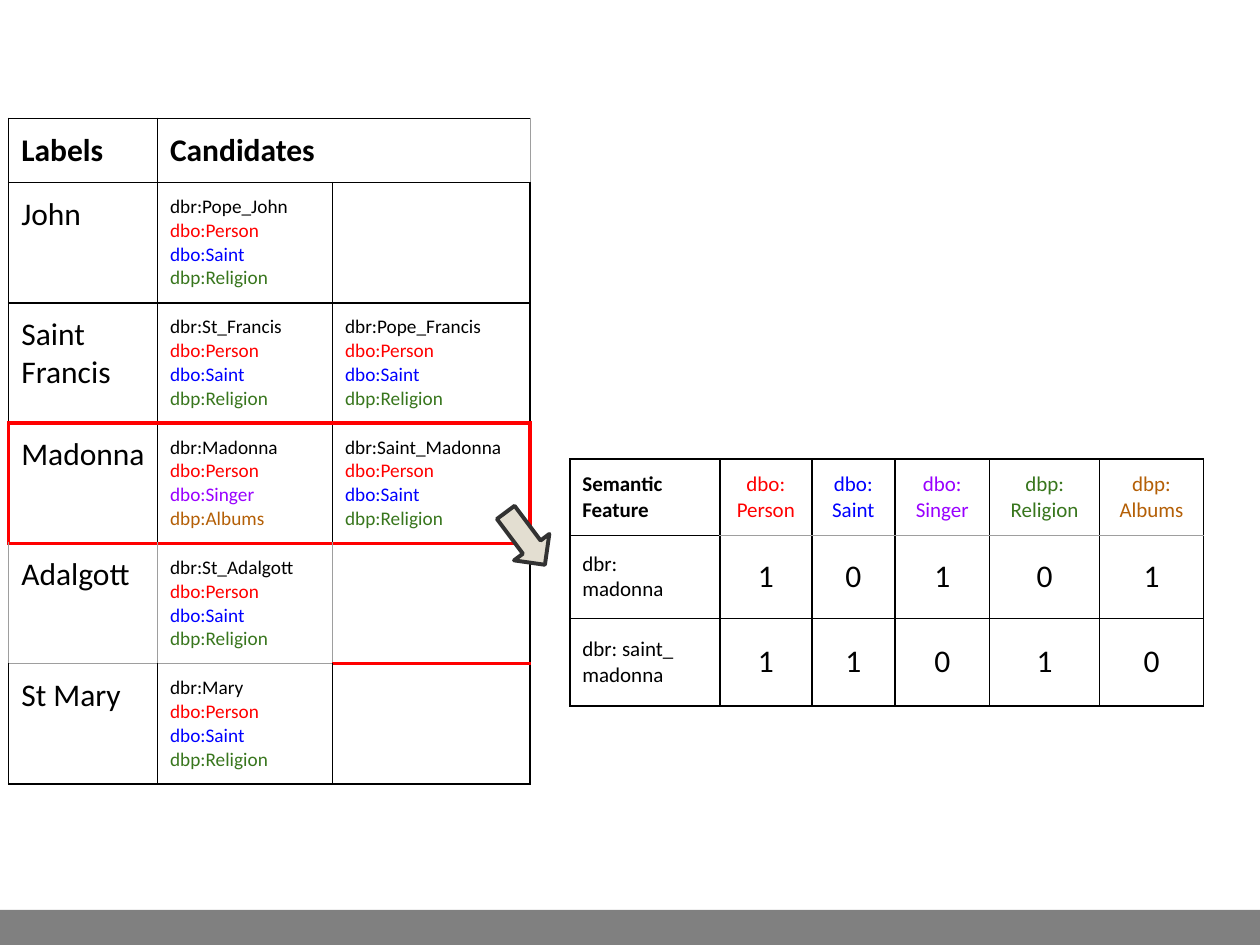
import pptx
import pptx.util
import pptx.dml.color
import pptx.enum.shapes
import pptx.enum.text
import pptx.oxml.ns
from lxml import etree

Pt = pptx.util.Pt
SHAPES = pptx.enum.shapes.MSO_SHAPE
ANCHOR = pptx.enum.text.MSO_ANCHOR
ALIGN = pptx.enum.text.PP_ALIGN

BLACK, RED, BLUE = "000000", "FF0000", "0000FF"
GREEN, PURPLE, BROWN, GREY = "38761D", "9900FF", "B45F06", "9E9E9E"
BLACK_EDGE, RED_EDGE, GREY_EDGE = (BLACK, 1), (RED, 2.25), (GREY, 0.75)
SIDES = "LRTB"
NEIGHBOURS = {"L": (0, -1, "R"), "R": (0, 1, "L"), "T": (-1, 0, "B"), "B": (1, 0, "T")}
FEATURE_COLORS = {
    "dbo:Person": RED,
    "dbo:Saint": BLUE,
    "dbo:Singer": PURPLE,
    "dbp:Religion": GREEN,
    "dbp:Albums": BROWN,
}


def rgb(color):
    return pptx.dml.color.RGBColor.from_string(color)


class SlideBuilder:
    font = "Calibri"
    inset = Pt(7.2)

    def __init__(self, slide):
        self.slide = slide

    def shape(self, kind, left, top, width, height, fill, line=None, rotation=0):
        shape = self.slide.shapes.add_shape(kind, Pt(left), Pt(top), Pt(width), Pt(height))
        shape.shadow.inherit = False
        shape.rotation = rotation
        shape.fill.solid()
        shape.fill.fore_color.rgb = rgb(fill)
        if line:
            color, weight = line
            shape.line.color.rgb = rgb(color)
            shape.line.width = Pt(weight)
        else:
            shape.line.fill.background()

    def table(self, left, top, widths, heights):
        frame = self.slide.shapes.add_table(
            len(heights), len(widths), Pt(left), Pt(top), Pt(sum(widths)), Pt(sum(heights)))
        table = frame.table
        table.first_row = table.horz_banding = False
        for column, width in zip(table.columns, widths):
            column.width = Pt(width)
        for row, height in zip(table.rows, heights):
            row.height = Pt(height)
        for cell in table.iter_cells():
            cell.fill.background()
            cell.margin_left = cell.margin_right = self.inset
            cell.margin_top = cell.margin_bottom = self.inset
            for side in SIDES:
                self.border(cell, side, BLACK_EDGE)
        return table

    def border(self, cell, side, edge):
        color, weight = edge
        properties = cell._tc.get_or_add_tcPr()
        tag = pptx.oxml.ns.qn(f"a:ln{side}")
        for previous in properties.findall(tag):
            properties.remove(previous)
        line = etree.Element(tag, w=str(int(Pt(weight))))
        fill = etree.SubElement(line, pptx.oxml.ns.qn("a:solidFill"))
        etree.SubElement(fill, pptx.oxml.ns.qn("a:srgbClr"), val=color)
        properties.insert(SIDES.index(side), line)

    def edges(self, table, row, columns, sides, edge):
        for column in columns:
            for side in sides:
                self.border(table.cell(row, column), side, edge)
                down, across, opposite = NEIGHBOURS[side]
                next_row, next_column = row + down, column + across
                if 0 <= next_row < len(table.rows) and 0 <= next_column < len(table.columns):
                    self.border(table.cell(next_row, next_column), opposite, edge)

    def text(self, cell, paragraphs, size, bold=False, align=ALIGN.LEFT, anchor=ANCHOR.TOP):
        cell.vertical_anchor = anchor
        for index, (content, color) in enumerate(paragraphs):
            frame = cell.text_frame
            paragraph = frame.add_paragraph() if index else frame.paragraphs[0]
            paragraph.alignment = align
            for number, line in enumerate(content.split("\n")):
                if number:
                    paragraph.add_line_break()
                run = paragraph.add_run()
                run.text = line
                run.font.name = self.font
                run.font.size = Pt(size)
                run.font.bold = bold
                run.font.color.rgb = rgb(color)


def add_candidates(builder):
    saint = ("dbo:Person", "dbo:Saint", "dbp:Religion")
    singer = ("dbo:Person", "dbo:Singer", "dbp:Albums")
    labels = [
        ("John", [("dbr:Pope_John", saint)]),
        ("Saint \nFrancis", [("dbr:St_Francis", saint), ("dbr:Pope_Francis", saint)]),
        ("Madonna", [("dbr:Madonna", singer), ("dbr:Saint_Madonna", saint)]),
        ("Adalgott", [("dbr:St_Adalgott", saint)]),
        ("St Mary", [("dbr:Mary", saint)]),
    ]
    table = builder.table(5, 67.7, [85, 100, 113], [36.6] + [68.7] * len(labels))
    for column, heading in enumerate(["Labels", "Candidates"]):
        builder.text(table.cell(0, column), [(heading, BLACK)], 18, bold=True)
    for row, (label, candidates) in enumerate(labels, 1):
        builder.text(table.cell(row, 0), [(label, BLACK)], 18)
        for column, (resource, features) in enumerate(candidates, 1):
            lines = [(resource, BLACK)] + [(name, FEATURE_COLORS[name]) for name in features]
            builder.text(table.cell(row, column), lines, 11)
    builder.edges(table, 0, [1, 2], "R", GREY_EDGE)
    builder.edges(table, 4, [0, 1], "LRB", GREY_EDGE)
    builder.edges(table, 4, [2], "B", RED_EDGE)
    builder.edges(table, 3, range(3), "TB", RED_EDGE)
    builder.edges(table, 3, [0], "L", RED_EDGE)
    builder.edges(table, 3, [2], "R", RED_EDGE)
    table.cell(0, 1).merge(table.cell(0, 2))


def add_features(builder):
    resources = [("dbr:\nmadonna", "10101"), ("dbr: saint_ madonna", "11010")]
    table = builder.table(
        325.6, 262.3, [85.8, 52.5, 47.5, 54.2, 62.8, 59.4], [43.4, 47.4, 50])
    middle = ANCHOR.MIDDLE
    builder.text(table.cell(0, 0), [("Semantic Feature", BLACK)], 12, bold=True, anchor=middle)
    for column, (feature, color) in enumerate(FEATURE_COLORS.items(), 1):
        heading = feature.replace(":", ":\n")
        builder.text(table.cell(0, column), [(heading, color)], 12,
                     align=ALIGN.CENTER, anchor=middle)
    for row, (resource, flags) in enumerate(resources, 1):
        builder.text(table.cell(row, 0), [(resource, BLACK)], 12, anchor=middle)
        for column, flag in enumerate(flags, 1):
            builder.text(table.cell(row, column), [(flag, BLACK)], 18,
                         align=ALIGN.CENTER, anchor=middle)
    builder.edges(table, 0, range(1, 6), "B", GREY_EDGE)


def main():
    presentation = pptx.Presentation()
    presentation.slide_width, presentation.slide_height = Pt(720), Pt(540)
    builder = SlideBuilder(presentation.slides.add_slide(presentation.slide_layouts[6]))
    builder.shape(SHAPES.RECTANGLE, 0, 520, 720, 20, "808080")
    add_candidates(builder)
    add_features(builder)
    builder.shape(SHAPES.RIGHT_ARROW, 281.5, 295.2, 37.4, 25.2, "E3DED1",
                  line=("323232", 2.25), rotation=53.2)
    presentation.save("out.pptx")


if __name__ == "__main__":
    main()
